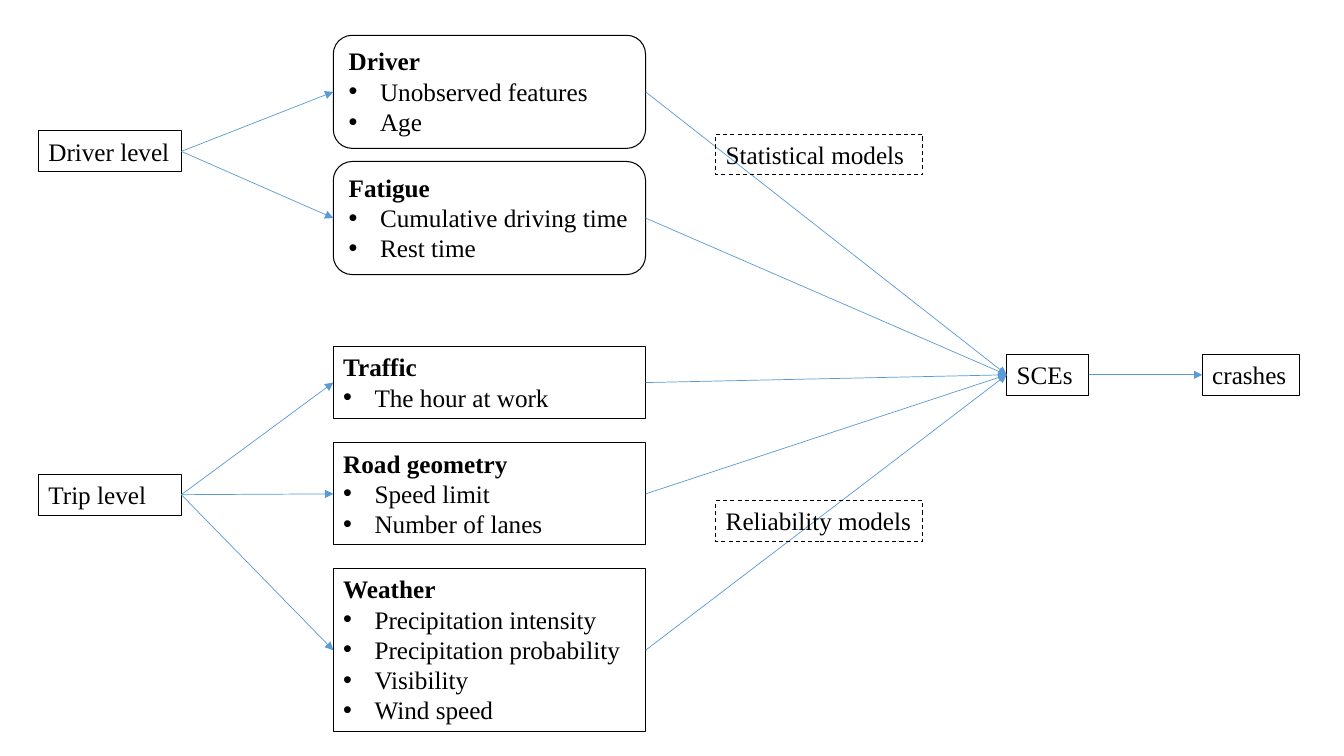
from lxml.etree import SubElement
from pptx import Presentation
from pptx.dml.color import RGBColor
from pptx.enum.dml import MSO_LINE
from pptx.enum.shapes import MSO_CONNECTOR, MSO_SHAPE
from pptx.enum.text import MSO_ANCHOR, MSO_AUTO_SIZE, PP_ALIGN
from pptx.oxml.ns import qn
from pptx.util import Cm, Pt

COLORS = {"ink": "000000", "arrow": "5B9BD5"}
FONT = {"name": "Times New Roman", "size": Pt(18)}
FRAME = {"word_wrap": True, "auto_size": MSO_AUTO_SIZE.SHAPE_TO_FIT_TEXT,
         "vertical_anchor": MSO_ANCHOR.TOP}
INDENT = Cm(0.79)
RECT, ROUND = MSO_SHAPE.RECTANGLE, MSO_SHAPE.ROUNDED_RECTANGLE
LEFT, RIGHT = 1, 3

prs = Presentation()
prs.slide_width, prs.slide_height = Cm(33.87), Cm(19.05)
s = prs.slides.add_slide(prs.slide_layouts[6])


def add_box(kind, x, y, w, h, title, items=(), dash=None):
    """Outlined box with a title, bold when bulleted items follow it."""
    sp = s.shapes.add_shape(kind, Cm(x), Cm(y), Cm(w), Cm(h))
    sp.shadow.inherit = False
    sp.fill.background()
    sp.line.color.rgb = RGBColor.from_string(COLORS["ink"])
    sp.line.width = Pt(0.75)
    sp.line.dash_style = dash
    tf = sp.text_frame
    for name, value in FRAME.items():
        setattr(tf, name, value)
    tf.text = "\n".join([title, *items])
    for i, p in enumerate(tf.paragraphs):
        p.alignment = PP_ALIGN.LEFT
        font = p.runs[0].font
        for name, value in FONT.items():
            setattr(font, name, value)
        font.bold = bool(items) and i == 0
        font.color.rgb = RGBColor.from_string(COLORS["ink"])
        if i:
            pPr = p._p.get_or_add_pPr()
            pPr.set("marL", str(INDENT))
            pPr.set("indent", str(-INDENT))
            SubElement(pPr, qn("a:buFont"), typeface="Arial")
            SubElement(pPr, qn("a:buChar"), char="•")
    return sp


def add_arrow(start, end):
    """Arrow from the right side of one box to the left side of another."""
    line = s.shapes.add_connector(MSO_CONNECTOR.STRAIGHT, 0, 0, 0, 0)
    line.begin_connect(start, RIGHT)
    line.end_connect(end, LEFT)
    line.line.color.rgb = RGBColor.from_string(COLORS["arrow"])
    line.line.width = Pt(0.5)
    SubElement(line.line._ln, qn("a:tailEnd"), type="triangle")
    SubElement(line._element.spPr, qn("a:effectLst"))


# Outcomes
crashes = add_box(RECT, 30.3, 8.93, 2.45, 1.03, "crashes")
sces = add_box(RECT, 25.37, 8.93, 2.07, 1.03, "SCEs")

# Levels, each with its groups of factors: shape, top, height, title, items
LEVELS = [
    ("Driver level", 3.3, [
        (ROUND, 0.89, 2.85, "Driver", ["Unobserved features", "Age"]),
        (ROUND, 4.07, 2.85, "Fatigue", ["Cumulative driving time", "Rest time"]),
    ]),
    ("Trip level", 11.95, [
        (RECT, 8.74, 1.8, "Traffic", ["The hour at work"]),
        (RECT, 11.16, 2.57, "Road geometry", ["Speed limit", "Number of lanes"]),
        (RECT, 14.33, 4.11, "Weather",
         ["Precipitation intensity", "Precipitation probability",
          "Visibility", "Wind speed"]),
    ]),
]
for level_name, level_y, factors in LEVELS:
    level = add_box(RECT, 0.97, level_y, 3.6, 1.03, level_name)
    for kind, y, h, title, items in factors:
        factor = add_box(kind, 8.4, y, 7.87, h, title, items)
        add_arrow(level, factor)
        add_arrow(factor, sces)
add_arrow(sces, crashes)

# Model labels
for y, label in [(3.38, "Statistical models"), (12.62, "Reliability models")]:
    add_box(RECT, 18.04, y, 5.22, 1.03, label, dash=MSO_LINE.DASH)

prs.save("out.pptx")
